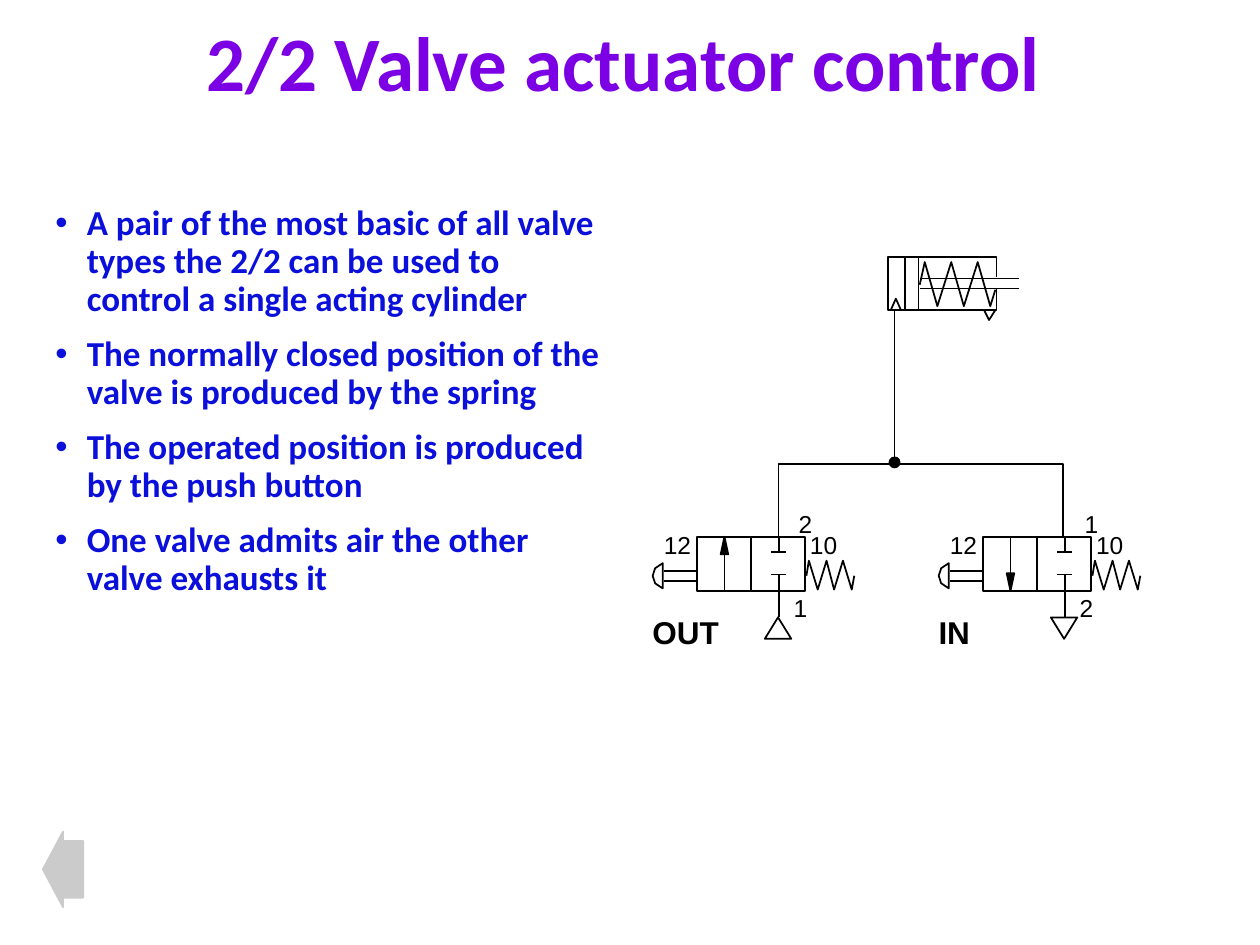
from lxml import etree
from pptx import Presentation
from pptx import util as u
from pptx.dml.color import RGBColor
from pptx.enum import shapes, text
from pptx.oxml import ns

PX = 9144  # 100 px to the inch
BLACK = RGBColor(0x00, 0x00, 0x00)
PURPLE = RGBColor(0x7B, 0x00, 0xE4)
BLUE = RGBColor(0x0A, 0x0F, 0xDA)
GREY = RGBColor(0xCB, 0xCB, 0xCB)
KIND = shapes.MSO_SHAPE

POINTS = [
    "A pair of the most basic of all valve types the 2/2 can be used to "
    "control a single acting cylinder",
    "The normally closed position of the valve is produced by the spring",
    "The operated position is produced by the push button",
    "One valve admits air the other valve exhausts it",
]


def style(shape, fill=None, color=BLACK):
    shape.shadow.inherit = False
    if fill is None:
        shape.fill.background()
    else:
        shape.fill.solid()
        shape.fill.fore_color.rgb = fill
    shape.line.color.rgb = color
    shape.line.width = u.Pt(1)
    return shape


def preset(slide, kind, x, y, w, h, fill=None, color=BLACK):
    shape = slide.shapes.add_shape(kind, x * PX, y * PX, w * PX, h * PX)
    return style(shape, fill, color)


def line(slide, x1, y1, x2, y2):
    link = slide.shapes.add_connector(
        shapes.MSO_CONNECTOR.STRAIGHT, x1 * PX, y1 * PX, x2 * PX, y2 * PX)
    link.line.color.rgb = BLACK
    link.line.width = u.Pt(1)
    props = link._element.spPr
    etree.SubElement(props, ns.qn("a:effectLst"))
    return link


def path(slide, x, y, dots, close=False, fill=None):
    """Draw a run of straight segments through dots, measured from (x, y)."""
    pen = slide.shapes.build_freeform(*dots[0], scale=PX)
    pen.add_line_segments(dots[1:], close=close)
    return style(pen.convert_to_shape(x * PX, y * PX), fill)


def write(slide, x, y, w, h, lines, font, size, color, bold=False, wrap=True):
    box = slide.shapes.add_textbox(x * PX, y * PX, w * PX, h * PX)
    frame = box.text_frame
    frame.word_wrap = wrap
    frame.text = "\n".join(lines)
    for par in frame.paragraphs:
        par.font.name = font
        par.font.size = u.Pt(size)
        par.font.bold = bold
        par.font.color.rgb = color
    return frame


def label(slide, x, y, w, h, words, size=14, bold=False):
    write(slide, x, y, w, h, [words], "Arial", size, BLACK, bold, wrap=False)


def title(slide, x, y, w, h):
    frame = write(slide, x, y, w, h, ["2/2 Valve actuator control"],
                  "Calibri", 44, PURPLE, bold=True)
    frame.vertical_anchor = text.MSO_ANCHOR.MIDDLE
    frame.paragraphs[0].line_spacing = 0.9


def bullets(slide, x, y, w, h):
    frame = write(slide, x, y, w, h, POINTS, "Calibri", 20, BLUE, bold=True)
    for i, par in enumerate(frame.paragraphs):
        props = par._p.get_or_add_pPr()
        props.set("marL", str(25 * PX))
        props.set("indent", str(-25 * PX))
        mark = etree.Element(ns.qn("a:buClr"))
        etree.SubElement(mark, ns.qn("a:srgbClr"), val=str(BLUE))
        face = etree.Element(ns.qn("a:buFont"), typeface="Arial")
        char = etree.Element(ns.qn("a:buChar"), char="•")
        for k, part in enumerate((mark, face, char)):
            props.insert(k, part)
        par.line_spacing = 0.9
        if i:
            par.space_before = u.Pt(10)


def cylinder(slide, x, y):
    """Spring-return cylinder with its piston, rod and two ports."""
    for rod in (17, 25):
        line(slide, x + 25, y + rod, x + 104, y + rod)
    for face in (13, 24):
        line(slide, x + face, y, x + face, y + 42)
    path(slide, x, y, [(86, 16), (86, 0), (0, 0), (0, 42), (86, 42), (86, 25)])
    path(slide, x, y, [(85, 26), (81, 39), (71, 4), (60, 39),
                       (50, 4), (39, 39), (29, 4), (25, 22)])
    path(slide, x, y, [(2, 42), (6, 33), (10, 42)])
    path(slide, x, y, [(76, 42), (80, 50), (85, 42)])


def valve(slide, x, y, top, low, name, wide, up):
    """2/2 valve with button and spring; flow runs up (supply) or down."""
    body = preset(slide, KIND.RECTANGLE, x, y, 86, 43)
    split = line(slide, x + 43, y, x + 43, y + 43)
    split.begin_connect(body, 0)
    split.end_connect(body, 2)

    line(slide, x + 22, y, x + 22, y + 43)
    tip, base = (0, 14) if up else (43, 29)
    path(slide, x, y, [(22, tip), (19, base), (25, base)], True, BLACK)

    for outer, inner in ((0, 12), (43, 30)):
        line(slide, x + 65, y + outer, x + 65, y + inner)
        line(slide, x + 59, y + inner, x + 71, y + inner)
    line(slide, x + 65, y + 43, x + 65, y + 64)
    port = preset(slide, KIND.ISOSCELES_TRIANGLE, x + 54, y + 64, 21, 17)
    port.rotation = 0 if up else 180

    path(slide, x, y, [(125, 31), (123, 42), (116, 19), (109, 42),
                       (103, 19), (96, 42), (89, 19), (87, 31)])
    path(slide, x, y, [(-27, 21), (-33, 25), (-35, 31), (-33, 37), (-27, 41)],
         close=True)
    for rod in (27, 35):
        line(slide, x - 26, y + rod, x, y + rod)

    label(slide, x + 71, y - 27, 31, 33, top)
    label(slide, x + 80, y - 10, 42, 33, "10")
    label(slide, x - 36, y - 10, 42, 33, "12")
    label(slide, x + 67, y + 40, 31, 33, low)
    label(slide, x - 45, y + 56, wide, 40, name, 18, True)


def pipes(slide, x, y):
    """Join both valves to the cylinder through one junction."""
    path(slide, x, y, [(0, 58), (0, 0), (226, 0), (226, 58)])
    line(slide, x + 92, y - 122, x + 92, y)
    preset(slide, KIND.OVAL, x + 88, y - 5, 8, 8, BLACK)


def back(slide, x, y, w, h):
    arrow = preset(slide, KIND.LEFT_ARROW, x, y, w, h, GREY, GREY)
    arrow.adjustments[0] = 0.75
    arrow.adjustments[1] = 0.5


def main():
    deck = Presentation()
    deck.slide_width, deck.slide_height = 1000 * PX, 750 * PX
    slide = deck.slides.add_slide(deck.slide_layouts[6])
    title(slide, 154, 12, 746, 81)
    bullets(slide, 34, 158, 458, 492)
    cylinder(slide, 705, 204)
    valve(slide, 553, 426, "2", "1", "OUT", 73, up=True)
    valve(slide, 780, 426, "1", "2", "IN", 45, up=False)
    pipes(slide, 618, 368)
    back(slide, 34, 660, 32, 60)
    deck.save("out.pptx")


if __name__ == "__main__":
    main()
